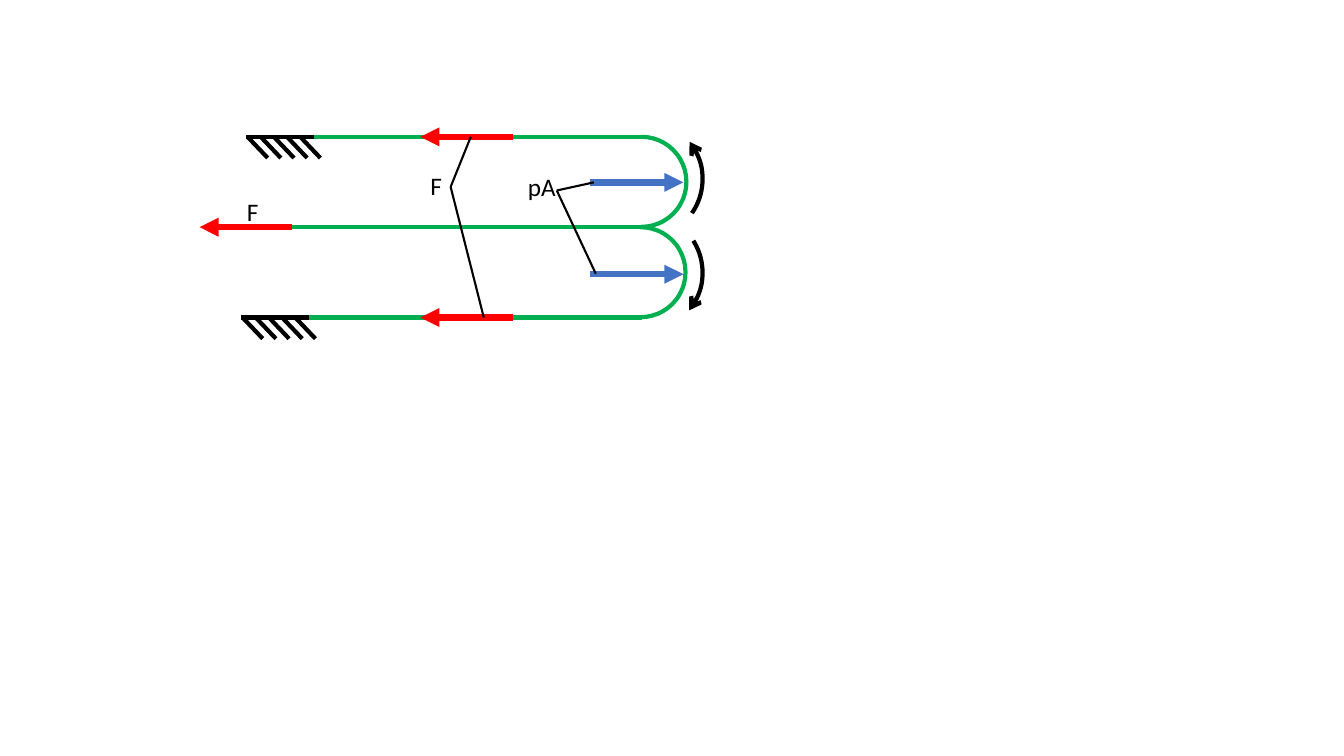
from pptx import Presentation
from pptx.dml.color import RGBColor
from pptx.enum.shapes import MSO_CONNECTOR, MSO_SHAPE
from pptx.enum.text import MSO_AUTO_SIZE
from pptx.oxml.ns import qn
from pptx.util import Inches, Pt
from lxml.etree import SubElement

GREEN = RGBColor(0x00, 0xB0, 0x50)
RED = RGBColor(0xFF, 0x00, 0x00)
BLUE = RGBColor(0x44, 0x72, 0xC4)
BLACK = RGBColor(0x00, 0x00, 0x00)

presentation = Presentation()
presentation.slide_width, presentation.slide_height = Inches(13.333), Inches(7.5)
slide = presentation.slides.add_slide(presentation.slide_layouts[6])
COLUMN = presentation.slide_width / 100
ROW = presentation.slide_height / 100


def add_line(shapes, start, end, color, width, arrow=False):
    points = [round(n * unit) for point in (start, end) for n, unit in zip(point, (COLUMN, ROW))]
    connector = shapes.add_connector(MSO_CONNECTOR.STRAIGHT, *points)
    connector.line.color.rgb = color
    connector.line.width = Pt(width)
    if arrow:
        SubElement(connector.line._get_or_add_ln(), qn("a:tailEnd"), type="triangle")
    SubElement(connector._element.spPr, qn("a:effectLst"))


def add_label(text, left, top, width, height=5.33, size=18, font="Calibri", color=BLACK):
    box = slide.shapes.add_textbox(
        round(left * COLUMN), round(top * ROW), round(width * COLUMN), round(height * ROW))
    box.text_frame.word_wrap = True
    box.text_frame.auto_size = MSO_AUTO_SIZE.SHAPE_TO_FIT_TEXT
    paragraph = box.text_frame.paragraphs[0]
    paragraph.text = text
    paragraph.font.size = Pt(size)
    paragraph.font.name = font
    paragraph.font.color.rgb = color


upper, middle, lower = membrane_rows = [18.1 + 11.95 * i for i in range(3)]

for row in membrane_rows:
    add_line(slide.shapes, (18.45, row), (47.78, row), GREEN, 3)

arcs = [
    (44.4, upper, 6.68, 11.9, 162, 54, GREEN, False, False),
    (44.33, middle, 6.68, 11.9, 162, 54, GREEN, False, False),
    (43.35, 15.75, 8.93, 15.87, 192.95, 20.75, BLACK, True, False),
    (43.35, 28.13, 8.93, 15.87, 192.64, 19.27, BLACK, True, True),
]
for left, top, width, height, start, end, color, arrow, flipped in arcs:
    arc = slide.shapes.add_shape(
        MSO_SHAPE.ARC, round(left * COLUMN), round(top * ROW),
        round(width * COLUMN), round(height * ROW))
    arc.adjustments[0], arc.adjustments[1] = start, end
    arc.shadow.inherit = False
    arc.fill.background()
    arc.line.color.rgb = color
    arc.line.width = Pt(3)
    if arrow:
        SubElement(arc.line._get_or_add_ln(), qn("a:headEnd"), type="arrow")
    if flipped:
        arc._element.spPr.find(qn("a:xfrm")).set("flipV", "1")

for tail, row in zip((38.18, 21.75, 38.18), membrane_rows):
    add_line(slide.shapes, (tail, row), (tail - 6.9, row), RED, 4.5, arrow=True)

for row in (24.13, 36.27):
    add_line(slide.shapes, (43.88, row), (50.85, row), BLUE, 4.5, arrow=True)

add_label("pA", 38.55, 22, 3.75)
add_label("F", 17.63, 25.33, 4.28)
add_label("F", 31.28, 21.87, 4.28)

leaders = {
    (33.53, 24.72): [(36, lower), (35.03, upper)],
    (41.43, 25.2): [(44.18, 24.13), (44.33, 36.2)],
}
for start, ends in leaders.items():
    for end in ends:
        add_line(slide.shapes, start, end, BLACK, 1.5)

for left, top in ((17.93, lower), (18.3, upper)):
    support = slide.shapes.add_group_shape()
    for i in range(5):
        hatch = left + 0.12 + 0.98 * i
        add_line(support.shapes, (hatch + 1.5, top + 2.8), (hatch, top), BLACK, 3)
    add_line(support.shapes, (left, top), (left + 5.03, top), BLACK, 3)

presentation.save("out.pptx")
